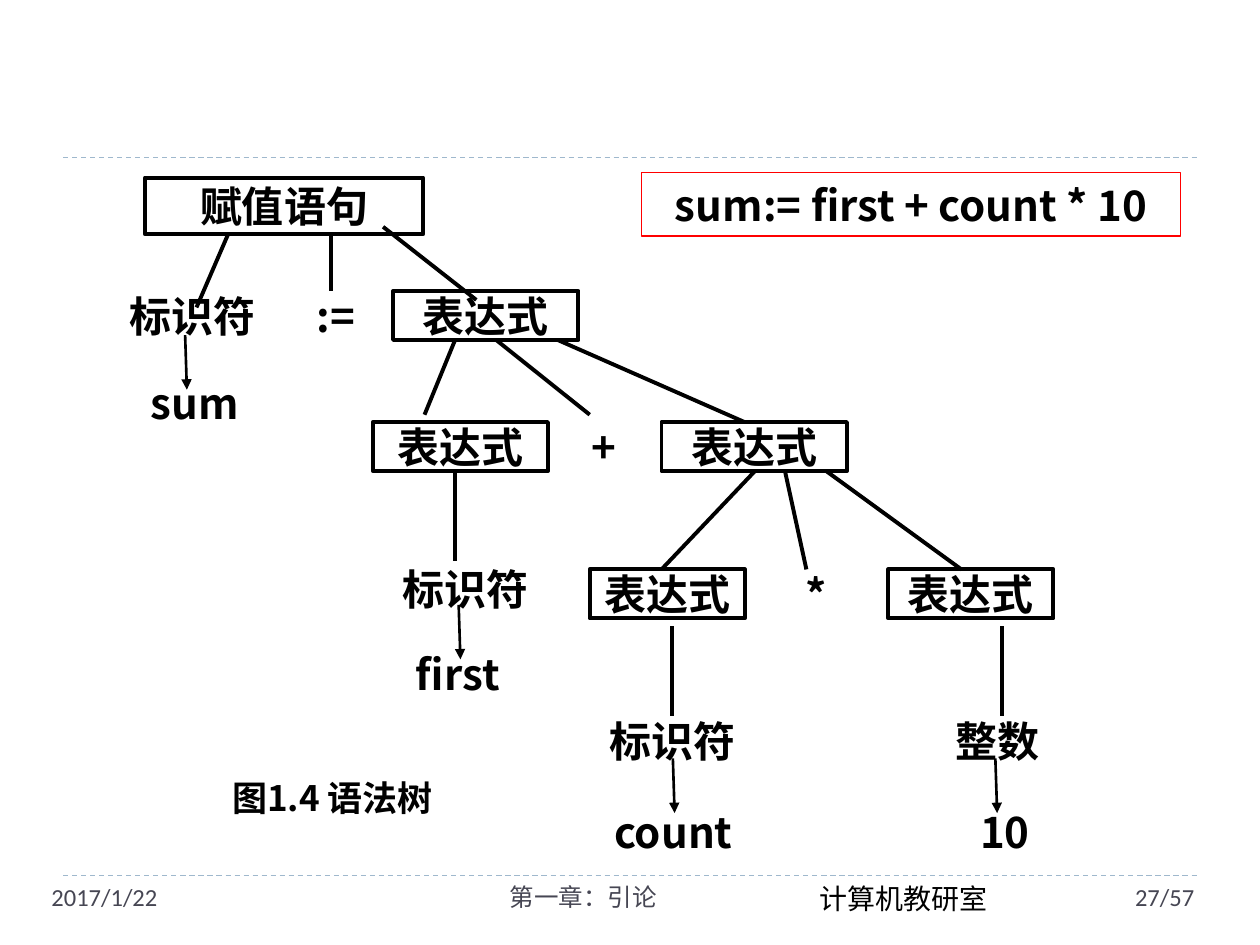
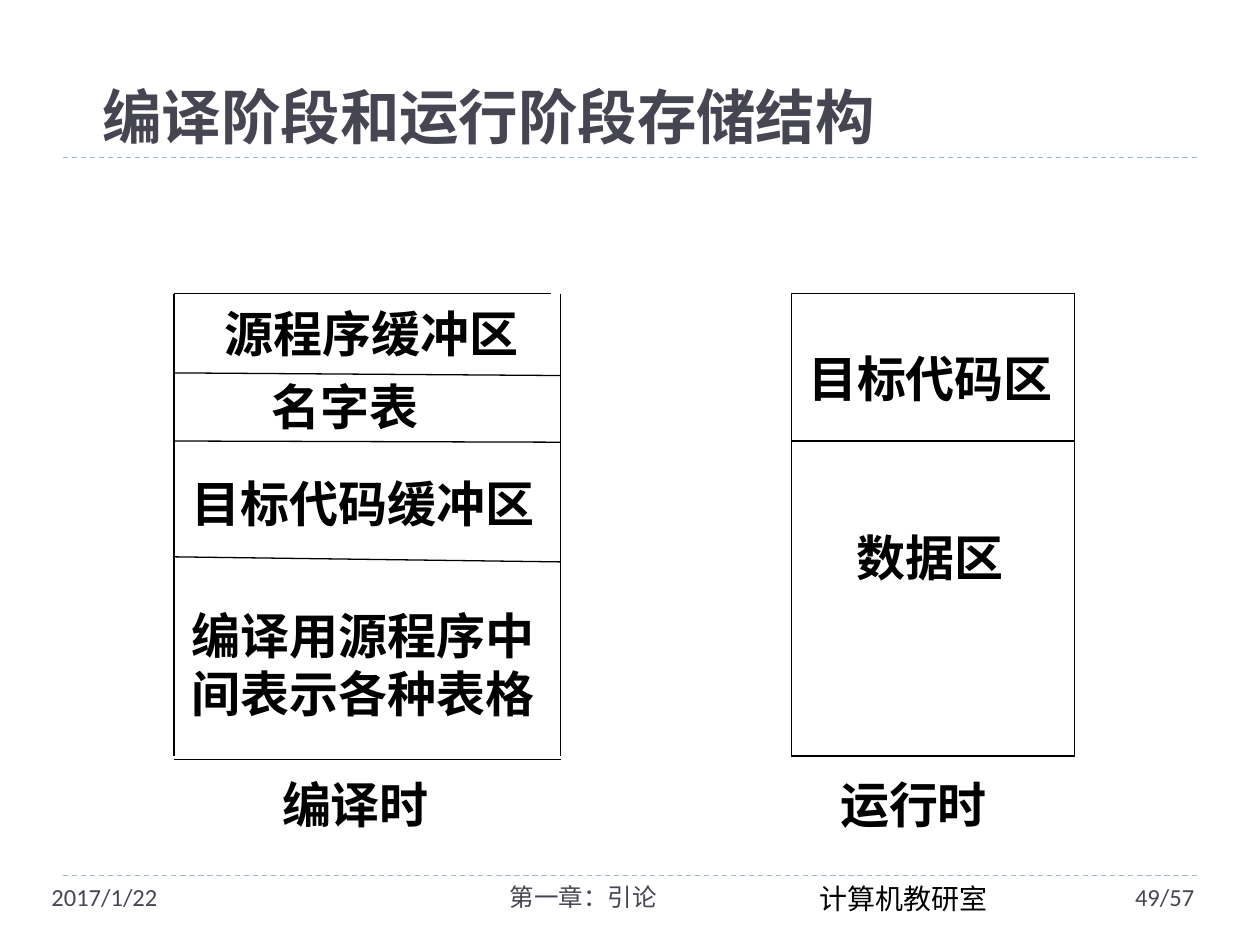
from dataclasses import dataclass

from lxml import etree
from pptx import Presentation
from pptx.dml.color import RGBColor
from pptx.enum.dml import MSO_LINE
from pptx.enum.shapes import MSO_CONNECTOR, MSO_SHAPE
from pptx.enum.text import MSO_ANCHOR, MSO_AUTO_SIZE, PP_ALIGN
from pptx.oxml.ns import qn
from pptx.util import Pt

LEFT, CENTER = PP_ALIGN.LEFT, PP_ALIGN.CENTER
TOP, MIDDLE, BOTTOM = MSO_ANCHOR.TOP, MSO_ANCHOR.MIDDLE, MSO_ANCHOR.BOTTOM


@dataclass(frozen=True)
class Style:
    font: str
    size: float
    color: str = "000000"
    bold: bool = False


class Theme:
    black, white, red, rule = "000000", "FFFFFF", "FF0000", "9FB8CD"
    east_asian = "DejaVu Sans"
    thin, medium, thick = 0.75, 1.5, 2.25
    title = Style("TeX Gyre Bonum", 34, "464653", True)
    footer = Style("Calibri", 14, "464653")
    office = Style("Times New Roman", 16)
    node = Style("Noto Sans CJK SC", 24, bold=True)
    figure = Style("Noto Sans CJK SC", 20, bold=True)
    region = Style("Times New Roman", 28, bold=True)
    caption = Style("DejaVu Sans", 28, bold=True)


# Shared frame: text, box (left, top, width, height), alignment, style
RULE_TOPS = (500.4, 90)
FOOTERS = [
    ("计算机教研室", (461.5, 500.4, 119.5, 26.6), LEFT, Theme.office),
    ("2017/1/22", (22.3, 500.4, 140.4, 28.8), LEFT, Theme.footer),
    ("第一章：引论", (228.2, 500.4, 210.2, 28.8), CENTER, Theme.footer),
]
PAGE_BOX = (641.5, 500.4, 71.3, 28.8)

# Syntax tree rows: top, height, nodes (text, left, width, framed)
TREE_ROWS = [
    (101.5, 32.4, [("赋值语句", 82.8, 159, True)]),
    (166.3, 28, [("标识符", 59.8, 100, False), (":=", 171.4, 41, False),
                 ("表达式", 224.6, 106, True)]),
    (216, 28, [("sum", 61.2, 100, False)]),
    (241.2, 28, [("表达式", 213.1, 100, True), ("+", 324.7, 41, False),
                 ("表达式", 378, 106, True)]),
    (320.4, 32.4, [("标识符", 218.9, 94.3, False)]),
    (325.4, 28, [("表达式", 337, 88.6, True), ("*", 448.6, 35.3, False),
                 ("表达式", 507.6, 94.3, True)]),
    (370.8, 28, [("first", 211.7, 100, False)]),
    (409, 28, [("标识符", 337, 94.3, False), ("整数", 525.6, 88.6, False)]),
    (461.5, 28, [("count", 334.8, 100, False), ("10", 524.2, 100, False)]),
]
BRANCHES = [
    (130.3, 134, 112.3, 175.7), (189.4, 134, 189.4, 166.3), (218.9, 129.6, 272.2, 171.4),
    (260, 194.4, 242.6, 237), (283.7, 194.4, 337, 237), (319, 194.4, 425.5, 241.2),
    (260, 269.3, 260, 320.4),
    (431.3, 269.3, 378, 325.4), (448.6, 269.3, 460.8, 325.4), (472.3, 269.3, 549.4, 325.4),
    (383.8, 357.8, 383.8, 409), (572.4, 357.8, 572.4, 409),
]
LEXEME_ARROWS = [(105.8, 191.5), (262.1, 345.6), (384.5, 433.4), (568.8, 433.4)]
ARROW_SHIFT = (1, 31.2)
STATEMENT = ("sum:= first + count * 10", (366.5, 98.6, 308.2, 36.4))
FIGURE = ("图1.4 语法树", (121.7, 440, 136.8, 31.7))

# Memory layouts; a divider gives its height at the left and right edge
STORAGE_TOP, STORAGE_BOTTOM = 167.8, 432
STORAGES = [
    {
        "left": 99.4, "right": 320.4, "top_end": 314.6, "base": 434.2,
        "dividers": [(213.1, 214.6), (252, 252.7), (318.2, 321.1)],
        "regions": [
            ("源程序缓冲区", (115.9, 173.5, 193, 33.8)),
            ("名字表", (150.5, 216, 93.6, 31.7)),
            ("目标代码缓冲区", (105.8, 264.2, 203, 46)),
            ("编译用源程序中\n间表示各种表格", (105.1, 341.3, 204.5, 76.3)),
        ],
        "caption": ("编译时", (154.1, 439.2, 98.6, 41)),
    },
    {
        "left": 452.2, "right": 614.2, "top_end": 614.2, "base": 432,
        "dividers": [(252, 252)],
        "regions": [
            ("目标代码区", (461.5, 185.8, 140.4, 59.8)),
            ("数据区", (472.3, 282.2, 118, 72)),
        ],
        "caption": ("运行时", (473, 439.2, 111.6, 41)),
    },
]


def rgb(color):
    return RGBColor.from_string(color)


def write(sp, text, style, align=LEFT, anchor=TOP, wrap=True):
    tf = sp.text_frame
    tf.text = text
    tf.word_wrap = wrap
    tf.auto_size = MSO_AUTO_SIZE.NONE
    tf.vertical_anchor = anchor
    for p in tf.paragraphs:
        p.alignment = align
        font = p.font
        font.name, font.size, font.bold = style.font, Pt(style.size), style.bold
        font.color.rgb = rgb(style.color)
        defaults = p._p.pPr.find(qn("a:defRPr"))
        etree.SubElement(defaults, qn("a:ea")).set("typeface", Theme.east_asian)


def add_text(s, text, box, style, align=LEFT, wrap=True):
    sp = s.shapes.add_textbox(*map(Pt, box))
    write(sp, text, style, align, wrap=wrap)


def add_box(s, text, box, style, border, width, fill=Theme.white):
    sp = s.shapes.add_shape(MSO_SHAPE.RECTANGLE, *map(Pt, box))
    sp.shadow.inherit = False
    if fill:
        sp.fill.solid()
        sp.fill.fore_color.rgb = rgb(fill)
    else:
        sp.fill.background()
    sp.line.color.rgb = rgb(border)
    sp.line.width = Pt(width)
    write(sp, text, style, CENTER, MIDDLE, wrap=False)


def add_line(s, ends, width=Theme.thin, color=Theme.black, dash=None, arrow=False):
    line = s.shapes.add_connector(MSO_CONNECTOR.STRAIGHT, *map(Pt, ends))
    line.line.color.rgb = rgb(color)
    line.line.width = Pt(width)
    if dash:
        line.line.dash_style = dash
    props = line._element.spPr
    if arrow:
        etree.SubElement(props.find(qn("a:ln")), qn("a:tailEnd")).set("type", "triangle")
    etree.SubElement(props, qn("a:effectLst"))


def add_slide(prs, page, title=None):
    """Add a slide with the shared rules and footers, and a title if given."""
    s = prs.slides.add_slide(prs.slide_layouts[5 if title else 6])
    for y in RULE_TOPS:
        add_line(s, (36, y, 684, y), color=Theme.rule, dash=MSO_LINE.DASH)
    if title:
        sp = s.shapes.title
        sp.left, sp.top, sp.width, sp.height = map(Pt, (36, 12.2, 648, 77.8))
        write(sp, title, Theme.title, anchor=BOTTOM)
        sp.text_frame.margin_left = Pt(22.5)
    for text, box, align, style in FOOTERS:
        add_text(s, text, box, style, align)
    add_text(s, page, PAGE_BOX, Theme.footer)
    return s


def build_syntax_tree(prs):
    s = add_slide(prs, "27/57")
    add_text(s, *FIGURE, Theme.figure, CENTER)
    for top, height, nodes in TREE_ROWS:
        for text, left, width, framed in nodes:
            border = Theme.black if framed else Theme.white
            add_box(s, text, (left, top, width, height), Theme.node, border, Theme.thick)
    for ends in BRANCHES:
        add_line(s, ends, Theme.thick)
    dx, dy = ARROW_SHIFT
    for x, y in LEXEME_ARROWS:
        add_line(s, (x, y, x + dx, y + dy), Theme.medium, arrow=True)
    add_box(s, *STATEMENT, Theme.node, Theme.red, Theme.thin, fill=None)


def build_storage(prs):
    s = add_slide(prs, "49/57", "编译阶段和运行阶段存储结构")
    for storage in STORAGES:
        left, right, base = storage["left"], storage["right"], storage["base"]
        for text, box in storage["regions"]:
            add_box(s, text, box, Theme.region, Theme.white, Theme.thin)
        for x in (left, right):
            add_line(s, (x, STORAGE_TOP, x, STORAGE_BOTTOM))
        add_line(s, (left, STORAGE_TOP, storage["top_end"], STORAGE_TOP))
        for y1, y2 in storage["dividers"] + [(base, base)]:
            add_line(s, (left, y1, right, y2))
        add_text(s, *storage["caption"], Theme.caption, wrap=False)


def main():
    prs = Presentation()
    prs.slide_width, prs.slide_height = Pt(720), Pt(540)
    build_syntax_tree(prs)
    build_storage(prs)
    prs.save("out.pptx")


if __name__ == "__main__":
    main()
